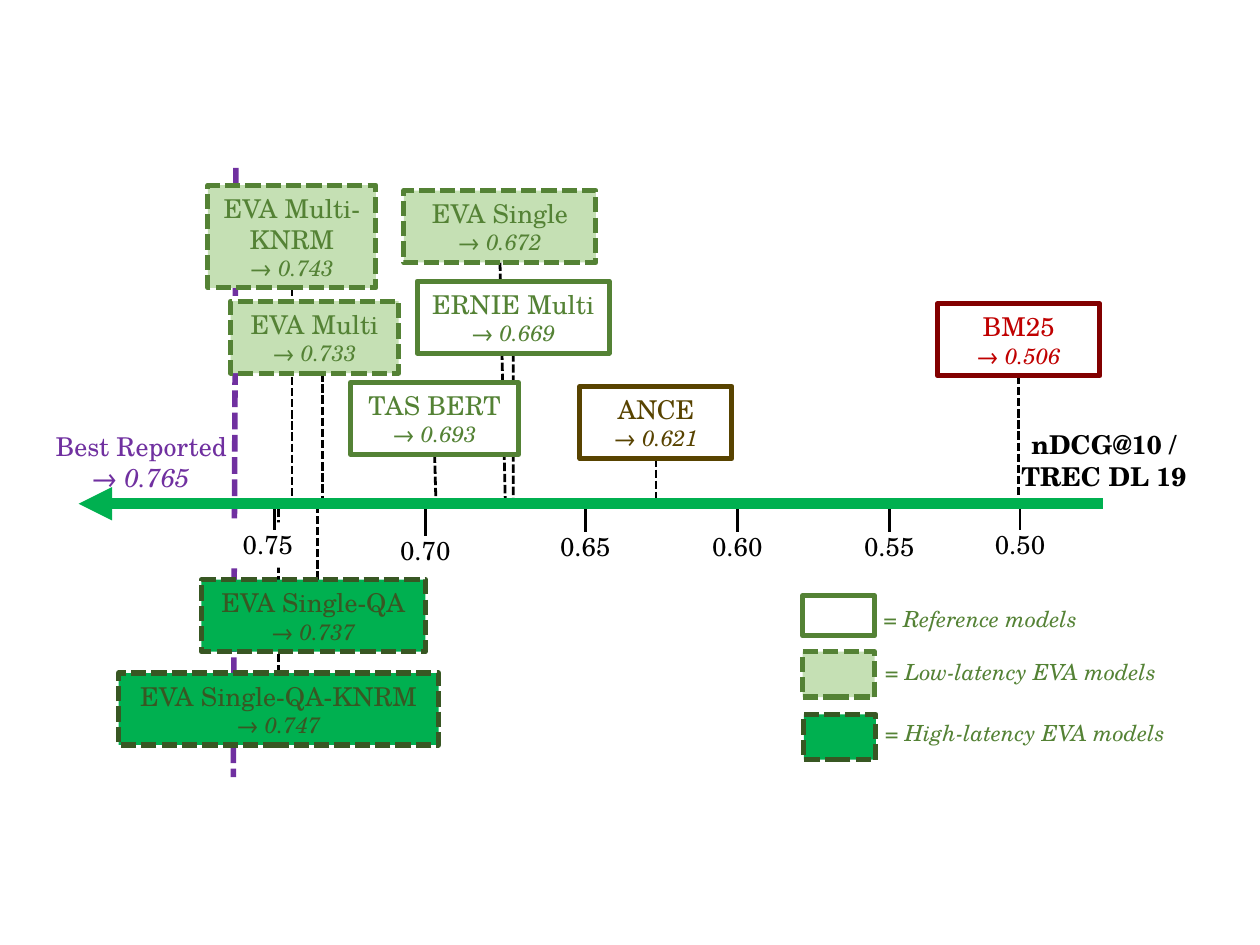
import pptx
import pptx.dml.color
import pptx.enum.dml
import pptx.enum.shapes
import pptx.enum.text
import pptx.oxml
import pptx.util

Inches = pptx.util.Inches
Align = pptx.enum.text.PP_ALIGN
FONT = "TeX Gyre Schola"
COLORS = {
    "black": "000000", "white": "FFFFFF", "purple": "7030A0", "red": "C00000",
    "maroon": "820000", "brown": "584300", "green": "548235",
    "pale": "C5E0B4", "bright": "00B050", "forest": "385723",
}
# style: fill, outline, text colour, dashed outline
STYLES = {
    "sparse": (None, "maroon", "red", False),
    "dense": (None, "brown", "brown", False),
    "reference": ("white", "green", "green", False),
    "low": ("pale", "green", "green", True),
    "high": ("bright", "forest", "forest", True),
}
# name, score, style, x and y from the arrow tip, width, height,
# x of the leader's foot, whether the leader starts mid-side
MODELS = [
    ("BM25", "0.506", "sparse", 6.44, -1.5, 1.22, 0.54, 7.05, True),
    ("ANCE", "0.621", "dense", 3.76, -0.88, 1.14, 0.54, 4.33, True),
    ("ERNIE Multi", "0.669", "reference", 2.54, -1.67, 1.44, 0.54, 3.26, True),
    ("TAS BERT", "0.693", "reference", 2.04, -0.91, 1.26, 0.54, 2.68, True),
    ("EVA Single", "0.672", "low", 2.44, -2.35, 1.44, 0.54, 3.2, True),
    ("EVA Multi", "0.733", "low", 1.14, -1.52, 1.26, 0.54, 1.83, False),
    ("EVA Multi-KNRM", "0.743", "low", 0.97, -2.39, 1.26, 0.77, 1.6, True),
    ("EVA Single-QA", "0.737", "high", 0.92, 0.57, 1.68, 0.54, 1.79, False),
    ("EVA Single-QA-KNRM", "0.747", "high", 0.3, 1.27, 2.4, 0.54, 1.5, True),
]
# label, x from the arrow tip, drop below the axis, label shift, label width, label fill
TICKS = [
    ("0.75", 1.47, 0, -0.05, 0.66, "white"),
    ("0.70", 2.6, 0.04, 0, 0.82, None),
    ("0.65", 3.8, 0.01, 0, 0.82, None),
    ("0.60", 4.94, 0.01, 0, 0.82, None),
    ("0.55", 6.08, 0.01, 0, 0.82, None),
    ("0.50", 7.06, 0, 0, 0.82, None),
]
# style, text, x and y offset of swatch, swatch height, text x and y offset, text width
LEGEND = [
    ("reference", "= Reference models", 0, 0, 0.3, 0.51, 0.02, 2.03),
    ("low", "= Low-latency EVA models", 0, 0.42, 0.34, 0.52, 0.42, 2.32),
    ("high", "= High-latency EVA models", 0.01, 0.89, 0.34, 0.52, 0.88, 2.39),
]


def rgb(name):
    return pptx.dml.color.RGBColor.from_string(COLORS[name])


def style_line(line, color, width, dashed):
    line.color.rgb = rgb(color)
    line.width = pptx.util.Pt(width)
    if dashed:
        line.dash_style = pptx.enum.dml.MSO_LINE.SQUARE_DOT


def add_line(page, x1, y1, x2, y2, color="black", width=1.5, dashed=False, arrow=False):
    line = page.shapes.add_connector(
        pptx.enum.shapes.MSO_CONNECTOR.STRAIGHT,
        Inches(x1), Inches(y1), Inches(x2), Inches(y2))
    style_line(line.line, color, width, dashed)
    namespace = pptx.oxml.ns.nsdecls("a")
    if arrow:
        line.line._get_or_add_ln().append(
            pptx.oxml.parse_xml(f'<a:tailEnd {namespace} type="triangle"/>'))
    line._element.spPr.append(pptx.oxml.parse_xml(f"<a:effectLst {namespace}/>"))
    return line


def write(frame, text, color="black", size=14, align=Align.CENTER,
          bold=False, italic=False, first=True):
    """Fill the first paragraph of a frame, or add one more."""
    frame.word_wrap = True
    para = frame.paragraphs[0] if first else frame.add_paragraph()
    para.alignment = align
    span = para.add_run()
    span.text = text
    span.font.name = FONT
    span.font.size = pptx.util.Pt(size)
    span.font.bold = bold
    span.font.italic = italic
    span.font.color.rgb = rgb(color)


def add_text_box(page, left, top, width, height, fill=None):
    box = page.shapes.add_textbox(Inches(left), Inches(top), Inches(width), Inches(height))
    if fill:
        box.fill.solid()
        box.fill.fore_color.rgb = rgb(fill)
    return box.text_frame


def add_box(page, style, left, top, width, height):
    fill, outline, _, dashed = STYLES[style]
    box = page.shapes.add_shape(
        pptx.enum.shapes.MSO_SHAPE.RECTANGLE,
        Inches(left), Inches(top), Inches(width), Inches(height))
    box.shadow.inherit = False
    if fill:
        box.fill.solid()
        box.fill.fore_color.rgb = rgb(fill)
    else:
        box.fill.background()
    style_line(box.line, outline, 2.75, dashed)
    return box


def draw_best_reported(page, left, axis):
    add_line(page, left + 1.18, axis - 2.52, left + 1.16, axis + 2.05, "purple", 3, True)
    frame = add_text_box(page, left - 0.28, axis - 0.6, 1.49, 0.57)
    write(frame, "Best Reported", "purple", align=Align.RIGHT)
    write(frame, "→ 0.765", "purple", italic=True, first=False)


def draw_models(page, left, axis):
    """Draw all leaders first, so that the boxes cover them."""
    leaders = []
    for _, _, _, x, y, width, height, foot, joined in MODELS:
        start = x + width / 2 if joined else foot
        edge = y + height if y < 0 else y
        leaders.append(add_line(page, left + start, axis + edge, left + foot, axis, dashed=True))
    for model, leader in zip(MODELS, leaders):
        name, score, style, x, y, width, height, _, joined = model
        box = add_box(page, style, left + x, axis + y, width, height)
        color = STYLES[style][2]
        write(box.text_frame, name, color)
        write(box.text_frame, f"→ {score}", color, 12, italic=True, first=False)
        if joined:
            leader.begin_connect(box, 2 if y < 0 else 0)


def draw_axis(page, left, axis, width):
    for label, x, drop, shift, label_width, fill in TICKS:
        center, top = left + x, axis + drop
        frame = add_text_box(page, center + shift - label_width / 2, top + 0.14,
                             label_width, 0.34, fill)
        write(frame, label)
        add_line(page, center, top, center, top + 0.2)
    add_line(page, left + width, axis, left, axis, "bright", 6, arrow=True)
    frame = add_text_box(page, left + width - 0.71, axis - 0.61, 1.44, 0.57)
    write(frame, "nDCG@10 / TREC DL 19", bold=True)


def draw_legend(page, left, top):
    for style, text, x, y, height, text_x, text_y, text_width in LEGEND:
        add_box(page, style, left + x, top + y, 0.54, height)
        frame = add_text_box(page, left + text_x, top + text_y, text_width, 0.3)
        write(frame, text, "green", 12, Align.LEFT, italic=True)


def main():
    deck = pptx.Presentation()
    deck.slide_width, deck.slide_height = Inches(9.45), Inches(7.09)
    page = deck.slides.add_slide(deck.slide_layouts.get_by_name("Blank"))
    tip, axis = 0.59, 3.78
    draw_best_reported(page, tip, axis)
    draw_models(page, tip, axis)
    draw_axis(page, tip, axis, 7.68)
    draw_legend(page, 6.02, 4.47)
    deck.save("out.pptx")


if __name__ == "__main__":
    main()
